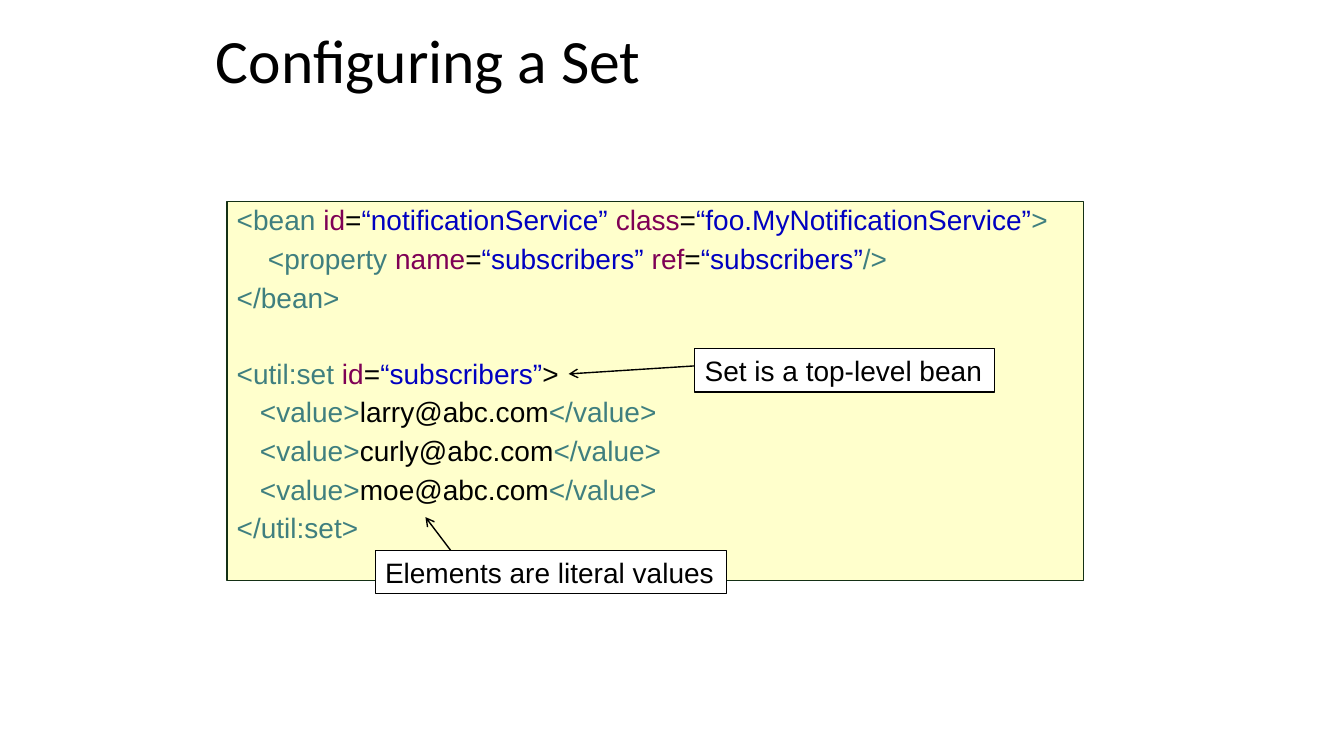
from dataclasses import dataclass

from lxml.etree import SubElement
from pptx import Presentation
from pptx.dml.color import RGBColor
from pptx.enum.shapes import MSO_CONNECTOR, MSO_SHAPE
from pptx.enum.text import MSO_ANCHOR, MSO_AUTO_SIZE, PP_ALIGN
from pptx.oxml.ns import qn
from pptx.util import Inches, Pt


@dataclass(frozen=True)
class Theme:
    """Colours, fonts and type sizes of the slide."""
    black: str = "000000"
    white: str = "FFFFFF"
    panel: str = "FFFFCC"
    panel_line: str = "143015"
    tag: str = "3F7F7F"
    attribute: str = "7F0055"
    value: str = "0000C0"
    title_font: str = "Calibri"
    body_font: str = "Arial"
    title_size: int = 44
    body_size: int = 20


THEME = Theme()
CELL = Inches(0.25)  # square grid: 4 cells to the inch


def add_box(slide, cells, fill, line, line_width):
    """Add a left-aligned text rectangle placed by grid cells."""
    box = slide.shapes.add_shape(MSO_SHAPE.RECTANGLE, *[round(cell * CELL) for cell in cells])
    box.shadow.inherit = False
    box.fill.solid()
    box.fill.fore_color.rgb = RGBColor.from_string(fill)
    box.line.color.rgb = RGBColor.from_string(line)
    box.line.width = Pt(line_width)
    box.text_frame.vertical_anchor = MSO_ANCHOR.TOP
    box.text_frame.paragraphs[0].alignment = PP_ALIGN.LEFT
    return box


def style_run(run, font, size, color):
    """Set the font, size and colour of a run."""
    run.font.name = font
    run.font.size = Pt(size)
    run.font.color.rgb = RGBColor.from_string(color)


presentation = Presentation()
presentation.slide_width = Inches(13.33)
presentation.slide_height = Inches(7.5)
slide = presentation.slides.add_slide(presentation.slide_layouts[5])

# Title
title = slide.shapes.title
title.left, title.top, title.width, title.height = [
    round(cell * CELL) for cell in (8.16, 1, 27.52, 3.08)]
title.text_frame.text = "Configuring a Set"
title.text_frame.auto_size = MSO_AUTO_SIZE.NONE
title.text_frame.vertical_anchor = MSO_ANCHOR.MIDDLE
title_paragraph = title.text_frame.paragraphs[0]
title_paragraph.alignment = PP_ALIGN.LEFT
title_paragraph.line_spacing = 0.9
style_run(title_paragraph.runs[0], THEME.title_font, THEME.title_size, THEME.black)

# Code panel: each line is its indent in inches, space before in points, and coloured pieces
TAG, ATTRIBUTE, VALUE, PLAIN = THEME.tag, THEME.attribute, THEME.value, THEME.black
LINE_GAP = 6
BLOCK_GAP = 32.7
code_lines = [
    (0, 0, [("<bean ", TAG), ("id", ATTRIBUTE), ("=", PLAIN),
            ("“notificationService” ", VALUE), ("class", ATTRIBUTE), ("=", PLAIN),
            ("“foo.MyNotificationService”", VALUE), (">", TAG)]),
    (0.31, LINE_GAP, [("<property ", TAG), ("name", ATTRIBUTE), ("=", PLAIN),
                      ("“subscribers” ", VALUE), ("ref", ATTRIBUTE), ("=", PLAIN),
                      ("“subscribers”", VALUE), ("/>", TAG)]),
    (0, LINE_GAP, [("</bean>", TAG)]),
    (0, BLOCK_GAP, [("<util:set", TAG), (" id", ATTRIBUTE), ("=", PLAIN),
                    ("“subscribers”", VALUE), (">", PLAIN)]),
    *[(0.23, LINE_GAP, [("<value>", TAG), (f"{name}@abc.com", PLAIN), ("</value>", TAG)])
      for name in ("larry", "curly", "moe")],
    (0, LINE_GAP, [("</util:set>", TAG)]),
]
code_panel = add_box(slide, (9, 8, 34, 15.04), THEME.panel, THEME.panel_line, 1)
code_frame = code_panel.text_frame
code_frame.word_wrap = True
for number, (indent, gap, pieces) in enumerate(code_lines):
    paragraph = code_frame.add_paragraph() if number else code_frame.paragraphs[0]
    paragraph.alignment = PP_ALIGN.LEFT
    paragraph.line_spacing = 0.9
    paragraph.space_before = Pt(gap)
    paragraph_properties = paragraph._p.get_or_add_pPr()
    paragraph_properties.set("marL", str(Inches(indent)))
    paragraph_properties.set("indent", "0")
    for text, color in pieces:
        run = paragraph.add_run()
        run.text = text
        style_run(run, THEME.body_font, THEME.body_size, color)

# Callouts: text, box cells, arrow start and arrow end
callouts = [
    ("Elements are literal values", (14.88, 21.84, 13.96, 1.72), (17.88, 21.84), (16.88, 20.52)),
    ("Set is a top-level bean", (27.56, 13.84, 11.88, 1.72), (27.56, 14.52), (22.56, 14.84)),
]
for text, cells, start, end in callouts:
    callout = add_box(slide, cells, THEME.white, THEME.black, 0.75)
    callout.text_frame.text = text
    callout.text_frame.word_wrap = False
    style_run(callout.text_frame.paragraphs[0].runs[0],
              THEME.body_font, THEME.body_size, THEME.black)

    arrow = slide.shapes.add_connector(
        MSO_CONNECTOR.STRAIGHT, *[round(cell * CELL) for cell in start + end])
    arrow.line.color.rgb = RGBColor.from_string(THEME.black)
    arrow.line.width = Pt(1)
    SubElement(arrow.line._get_or_add_ln(), qn("a:tailEnd"), type="arrow")
    SubElement(arrow._element.spPr, qn("a:effectLst"))

presentation.save("out.pptx")
